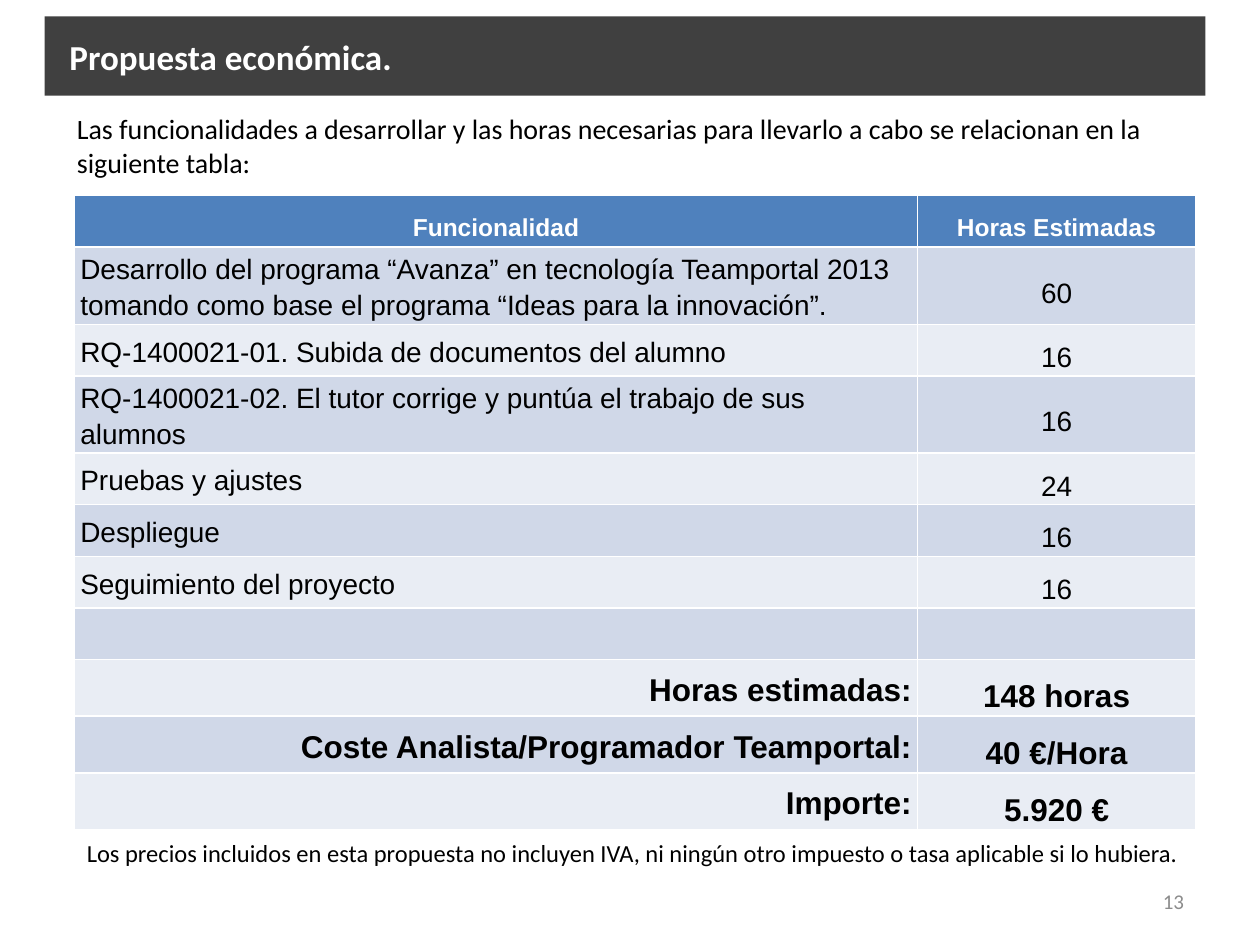
from pptx import Presentation
from pptx import util as u
from pptx.dml.color import RGBColor
from pptx.enum import text
from pptx.oxml import parse_xml
from pptx.oxml.ns import nsdecls

LEFT, CENTER, RIGHT = text.PP_ALIGN.LEFT, text.PP_ALIGN.CENTER, text.PP_ALIGN.RIGHT
BANDS = ("D0D8E8", "E9EDF4")
HEADERS = ("Funcionalidad", "Horas Estimadas")
TASKS = [
    ("Desarrollo del programa “Avanza” en tecnología Teamportal 2013 "
     "tomando como base el programa “Ideas para la innovación”.", "60"),
    ("RQ-1400021-01. Subida de documentos del alumno", "16"),
    ("RQ-1400021-02. El tutor corrige y puntúa el trabajo de sus alumnos", "16"),
    ("Pruebas y ajustes", "24"),
    ("Despliegue", "16"),
    ("Seguimiento del proyecto", "16"),
]
TOTALS = [
    ("Horas estimadas:", "148 horas"),
    ("Coste Analista/Programador Teamportal:", "40 €/Hora"),
    ("Importe:", "5.920 €"),
]


def color(value):
    return RGBColor.from_string(value)


class Deck:
    body_font = "Calibri"
    table_font = "Arial"

    def __init__(self):
        self.prs = Presentation()
        self.prs.slide_width, self.prs.slide_height = u.Cm(25.4), u.Cm(19.05)
        self.s = self.prs.slides.add_slide(self.prs.slide_layouts[5])

    def style_text(self, tf, words, size, ink="000000", bold=False, align=LEFT, font=None):
        tf.text = words
        p = tf.paragraphs[0]
        p.alignment = align
        for r in p.runs:
            r.font.name = font or self.body_font
            r.font.size = u.Pt(size)
            r.font.bold = bold
            r.font.color.rgb = color(ink)
        return p

    def title(self, words, left, top, width, height):
        sp = self.s.shapes.title
        sp.left, sp.top, sp.width, sp.height = map(u.Cm, (left, top, width, height))
        sp._element.spPr.append(parse_xml(
            f'<a:prstGeom {nsdecls("a")} prst="roundRect"><a:avLst/></a:prstGeom>'))
        sp.fill.solid()
        sp.fill.fore_color.rgb = color("404040")
        tf = sp.text_frame
        tf.auto_size = text.MSO_AUTO_SIZE.NONE
        tf.vertical_anchor = text.MSO_ANCHOR.MIDDLE
        tf.margin_left = u.Cm(0.5)
        self.style_text(tf, words, 20, "FFFFFF", True)

    def label(self, words, left, top, width, height, size, **style):
        sp = self.s.shapes.add_textbox(*map(u.Cm, (left, top, width, height)))
        tf = sp.text_frame
        tf.word_wrap = True
        tf.vertical_anchor = text.MSO_ANCHOR.MIDDLE
        self.style_text(tf, words, size, **style)

    def cell(self, cell, words, fill, spacing, size, **style):
        cell.fill.solid()
        cell.fill.fore_color.rgb = color(fill)
        if not words:
            return
        cell.vertical_anchor = text.MSO_ANCHOR.MIDDLE
        cell.margin_left = cell.margin_right = u.Cm(0.12)
        cell.margin_top = cell.margin_bottom = 0
        p = self.style_text(cell.text_frame, words, size, font=self.table_font, **style)
        p.line_spacing = spacing
        p.space_before = u.Pt(10)

    def table(self, left, top, widths, row_height):
        rows = TASKS + [("", "")] + TOTALS
        count = len(rows) + 1
        table = self.s.shapes.add_table(
            count, len(widths), u.Cm(left), u.Cm(top),
            u.Cm(sum(widths)), u.Cm(row_height * count)).table
        for column, width in zip(table.columns, widths):
            column.width = u.Cm(width)
        for row in table.rows:
            row.height = u.Cm(row_height)
        for i, words in enumerate(HEADERS):
            self.cell(table.cell(0, i), words, "4F81BD", 1.5, 14,
                      ink="FFFFFF", bold=True, align=CENTER)
        for i, (name, value) in enumerate(rows):
            total = i > len(TASKS)
            size, fill = (18 if total else 16), BANDS[i % 2]
            self.cell(table.cell(i + 1, 0), name, fill, 1.15, size,
                      bold=total, align=RIGHT if total else LEFT)
            self.cell(table.cell(i + 1, 1), value, fill, 1.5, size,
                      bold=total, align=CENTER)


def main():
    deck = Deck()
    deck.title("Propuesta económica.", 0.9, 0.33, 23.4, 1.6)
    deck.label("13", 18.2, 17.65, 5.92, 1.02, 12, ink="8C8C8C", align=RIGHT)
    deck.label("Las funcionalidades a desarrollar y las horas necesarias para "
               "llevarlo a cabo se relacionan en la siguiente tabla:",
               1.3, 2.11, 23, 1.63, 16)
    deck.table(1.5, 3.94, (17, 5.6), 1.04)
    deck.label("Los precios incluidos en esta propuesta no incluyen IVA, ni ningún "
               "otro impuesto o tasa aplicable si lo hubiera.",
               1.5, 16.76, 22.8, 0.86, 14)
    deck.prs.save("out.pptx")


if __name__ == "__main__":
    main()
